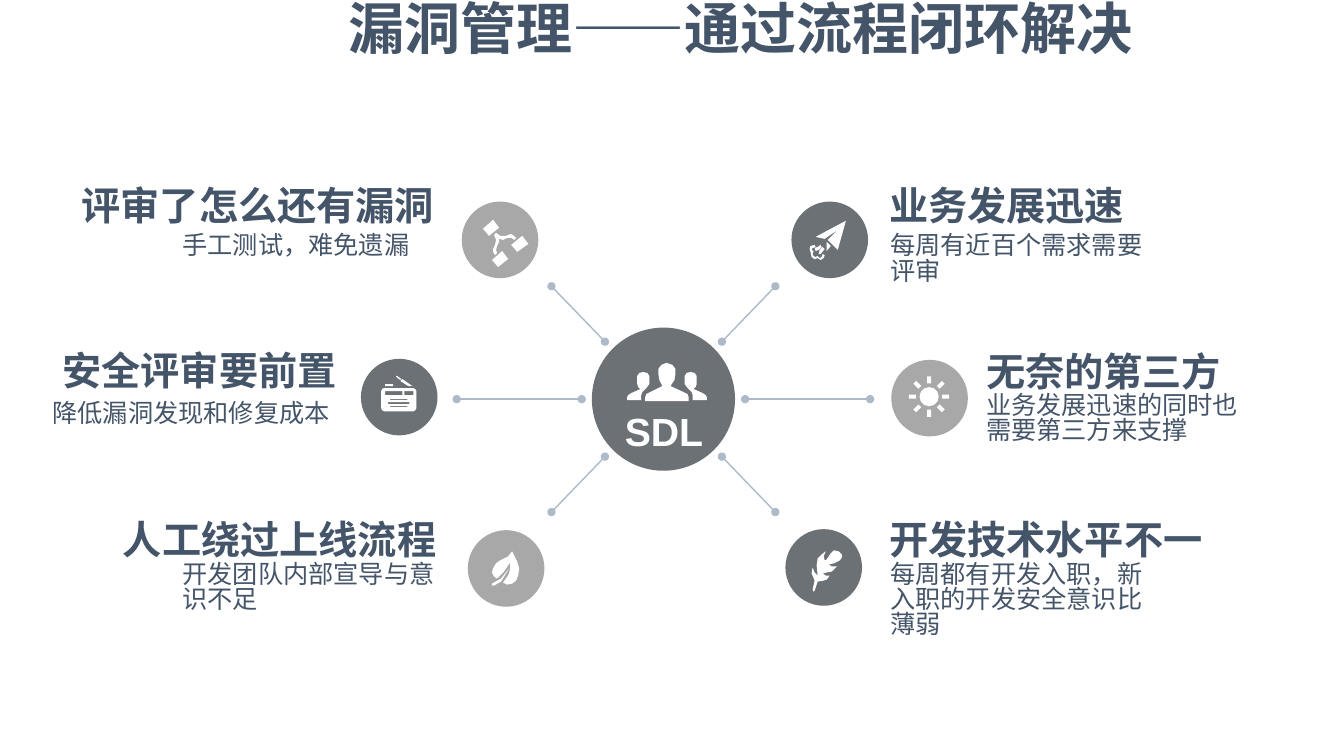
from dataclasses import dataclass
from math import cos, pi, sin

from lxml.etree import SubElement
from pptx import Presentation
from pptx.dml.color import RGBColor
from pptx.enum.shapes import MSO_CONNECTOR as Link, MSO_SHAPE as Shape
from pptx.enum.text import MSO_ANCHOR as Anchor, MSO_AUTO_SIZE as AutoSize, PP_ALIGN as Align
from pptx.oxml.ns import qn
from pptx.util import Pt

PX = 9144  # 100 px to the inch


@dataclass(frozen=True)
class Theme:
    ink: RGBColor = RGBColor(0x44, 0x54, 0x69)
    dark: RGBColor = RGBColor(0x6C, 0x71, 0x76)
    light: RGBColor = RGBColor(0xA8, 0xA8, 0xA8)
    link: RGBColor = RGBColor(0xAD, 0xBA, 0xCA)
    white: RGBColor = RGBColor(0xFF, 0xFF, 0xFF)
    cjk: str = "Noto Sans CJK SC"
    latin: str = "Arial"
    title: int = 40
    heading: int = 28
    body: int = 18


T = Theme()


def write(sp, text, *, size, color=T.ink, font=T.cjk, bold=False, align=Align.LEFT,
          spacing=0.88, inset=(0, 0), wrap=True):
    tf = sp.text_frame
    tf.margin_left = tf.margin_right = inset[0] * PX
    tf.margin_top = tf.margin_bottom = inset[1] * PX
    tf.vertical_anchor = Anchor.TOP
    tf.auto_size = AutoSize.SHAPE_TO_FIT_TEXT
    tf.word_wrap = wrap
    p = tf.paragraphs[0]
    p.alignment = align
    p.line_spacing = spacing
    p.space_before = Pt(0)
    r = p.add_run()
    r.text = text
    r.font.size, r.font.bold, r.font.name = Pt(size), bold, font
    r.font.color.rgb = color
    SubElement(r.font._element, qn("a:ea")).set("typeface", font)


def draw_icon(s, contours):
    """Draw closed outlines, given in px, as one white shape."""
    outlines = [[(x * PX, y * PX) for x, y in c] for c in contours]
    builder = s.shapes.build_freeform(*outlines[0][0], scale=1.0)
    for i, points in enumerate(outlines):
        if i:
            builder.move_to(*points[0])
        builder.add_line_segments(points[1:], close=True)
    sp = builder.convert_to_shape()
    sp.shadow.inherit = False
    sp.fill.solid()
    sp.fill.fore_color.rgb = T.white
    sp.line.fill.background()


prs = Presentation()
prs.slide_width, prs.slide_height = 1333 * PX, 750 * PX
s = prs.slides.add_slide(prs.slide_layouts[5])

title = s.shapes.title
title.left, title.top, title.width, title.height = 336 * PX, -3 * PX, 808 * PX, 77 * PX
write(title, "漏洞管理——通过流程闭环解决", size=T.title, bold=True, inset=(10, 5), wrap=False)

# Circles: left, top, diameter, colour
for x, y, d, color in [
    (587, 325, 142, T.dark),
    (785, 200, 76, T.dark), (884, 357, 76, T.light), (779, 525, 76, T.dark),
    (458, 200, 76, T.light), (358, 356, 76, T.dark), (464, 526, 76, T.light),
    (912, 384, 19, T.white),
]:
    sp = s.shapes.add_shape(Shape.OVAL, x * PX, y * PX, d * PX, d * PX)
    sp.shadow.inherit = False
    sp.fill.solid()
    sp.fill.fore_color.rgb = color
    sp.line.fill.background()

# Icons
plane = [
    [(809, 235), (818, 237), (831, 228), (821, 238), (831, 248), (839, 219)],
    [(820, 249), (824, 244), (820, 240)],
    [(816, 245), (818, 247), (814, 252), (812, 252), (813, 248)],
    [(814, 258), (811, 256), (808, 257), (805, 255), (804, 250), (803, 247), (804, 244),
     (808, 243), (809, 245), (806, 246), (805, 248), (807, 249), (806, 252), (807, 254),
     (809, 255), (811, 254), (813, 256), (815, 255), (816, 252), (818, 253), (817, 256)],
    [(808, 246), (809, 249), (812, 248), (815, 245), (814, 243), (811, 245)],
]
sun_x, sun_y = 921.5, 393.5
rays = []
for k in range(8):
    c, n = cos(k * pi / 4), sin(k * pi / 4)
    corners = [(13, -2), (20, -2), (20, 2), (13, 2)]
    rays.append([(sun_x + r * c - w * n, sun_y + r * n + w * c) for r, w in corners])
radio = [
    [(382, 381), (390, 381), (390, 383), (382, 383)],
    [(378, 388), (379, 386), (381, 385), (410, 385), (412, 386), (413, 388),
     (413, 405), (412, 407), (410, 408), (381, 408), (379, 407), (378, 405)],
    [(382, 388), (399, 388), (399, 392), (382, 392)],
    [(387, 396), (404, 396), (404, 397), (387, 397)],
    [(387, 403), (404, 403), (404, 404), (387, 404)],
    [(385, 399), (406, 399), (406, 401), (385, 401)],
    [(401, 388), (410, 388), (410, 392), (401, 392)],
    [(393, 374), (397, 377), (398, 376), (394, 373), (393, 373)],
    [(405, 383), (409, 383), (399, 376), (397, 378)],
]
network = [
    [(512, 236), (510, 238), (507, 236), (503, 236), (499, 238), (495, 237), (495, 240),
     (493, 244), (492, 248), (493, 251), (491, 253), (489, 250), (489, 247), (491, 243),
     (492, 238), (490, 233), (492, 231), (496, 234), (502, 234), (507, 232)],
    [(489, 218), (479, 227), (485, 234), (495, 226)],
    [(488, 258), (498, 249), (504, 257), (494, 265)],
    [(518, 234), (524, 242), (513, 250), (507, 243)],
]
leaf = [
    [(508, 547), (504, 552), (500, 554), (496, 556), (492, 559), (489, 564), (488, 568),
     (490, 572), (493, 574), (500, 567), (506, 558), (506, 565), (504, 571), (499, 578),
     (503, 580), (508, 579), (512, 576), (514, 571), (515, 564), (513, 557)],
    [(488, 579), (488, 581), (490, 581), (497, 577), (505, 564), (497, 574)],
]
feather = [[
    (808, 586), (811, 577), (817, 576), (820, 575), (823, 571), (819, 571), (816, 569),
    (820, 568), (825, 567), (830, 562), (825, 562), (822, 560), (827, 559), (833, 556),
    (835, 553), (835, 550), (832, 547), (827, 546), (824, 549), (820, 555), (818, 556),
    (817, 552), (819, 547), (815, 550), (811, 554), (810, 561), (811, 571), (808, 568),
    (806, 563), (805, 569), (808, 576), (806, 585), (807, 587),
]]
right_person = [
    (701, 394), (700, 392), (697, 390), (688, 386), (690, 384), (691, 381), (691, 373),
    (689, 370), (685, 369), (681, 370), (679, 373), (679, 381), (682, 385), (686, 389),
    (687, 392), (687, 397), (701, 397),
]
left_person = [(1323 - x, y) for x, y in right_person]
lead_person = [
    (683, 394), (682, 391), (678, 389), (665, 383), (669, 377), (670, 371), (670, 366),
    (667, 362), (661, 360), (656, 362), (653, 366), (653, 371), (654, 377), (657, 383),
    (645, 389), (641, 391), (640, 394), (640, 398), (683, 398),
]
for icon in (plane, rays, radio, network, leaf, feather,
             [right_person], [left_person], [lead_person]):
    draw_icon(s, icon)

# Links: distance from the hub's centre at the inner and outer end
hub_x, hub_y = 658, 396
for side in (-1, 1):
    for row in (-1, 0, 1):
        (x1, y1), (x2, y2) = ((58, 57), (111, 112)) if row else ((81, 0), (205, 0))
        cn = s.shapes.add_connector(
            Link.STRAIGHT, (hub_x + side * x1) * PX, (hub_y + row * y1) * PX,
            (hub_x + side * x2) * PX, (hub_y + row * y2) * PX)
        cn.line.color.rgb = T.link
        cn.line.width = Pt(1)
        ln = cn.line._get_or_add_ln()
        for end in ("a:headEnd", "a:tailEnd"):
            SubElement(ln, qn(end)).set("type", "oval")
        SubElement(cn._element.spPr, qn("a:effectLst"))

sp = s.shapes.add_textbox(609 * PX, 399 * PX, 99 * PX, 57 * PX)
write(sp, "SDL", size=T.heading, color=T.white, font=T.latin, bold=True,
      align=Align.CENTER, spacing=1.0, inset=(10, 5), wrap=False)

# Each topic: heading and body, with left, top, width, height
heading = dict(size=T.heading, bold=True)
body = dict(size=T.body, spacing=0.83)
for text, style, x, y, w, h in [
    ("业务发展迅速", heading, 882, 186, 256, 47),
    ("每周有近百个需求需要评审", body, 883, 233, 255, 61),
    ("无奈的第三方", heading, 978, 351, 256, 47),
    ("业务发展迅速的同时也需要第三方来支撑", body, 978, 391, 255, 61),
    ("开发技术水平不一", heading, 882, 517, 320, 47),
    ("每周都有开发入职，新入职的开发安全意识比薄弱", body, 883, 559, 255, 91),
    ("评审了怎么还有漏洞", heading, 81, 186, 356, 47),
    ("手工测试，难免遗漏", body, 181, 233, 255, 30),
    ("安全评审要前置", heading, 62, 350, 276, 47),
    ("降低漏洞发现和修复成本", body, 52, 399, 285, 30),
    ("人工绕过上线流程", heading, 122, 517, 314, 47),
    ("开发团队内部宣导与意识不足", body, 181, 559, 255, 61),
]:
    sp = s.shapes.add_textbox(x * PX, y * PX, w * PX, h * PX)
    write(sp, text, **style)

prs.save("out.pptx")
